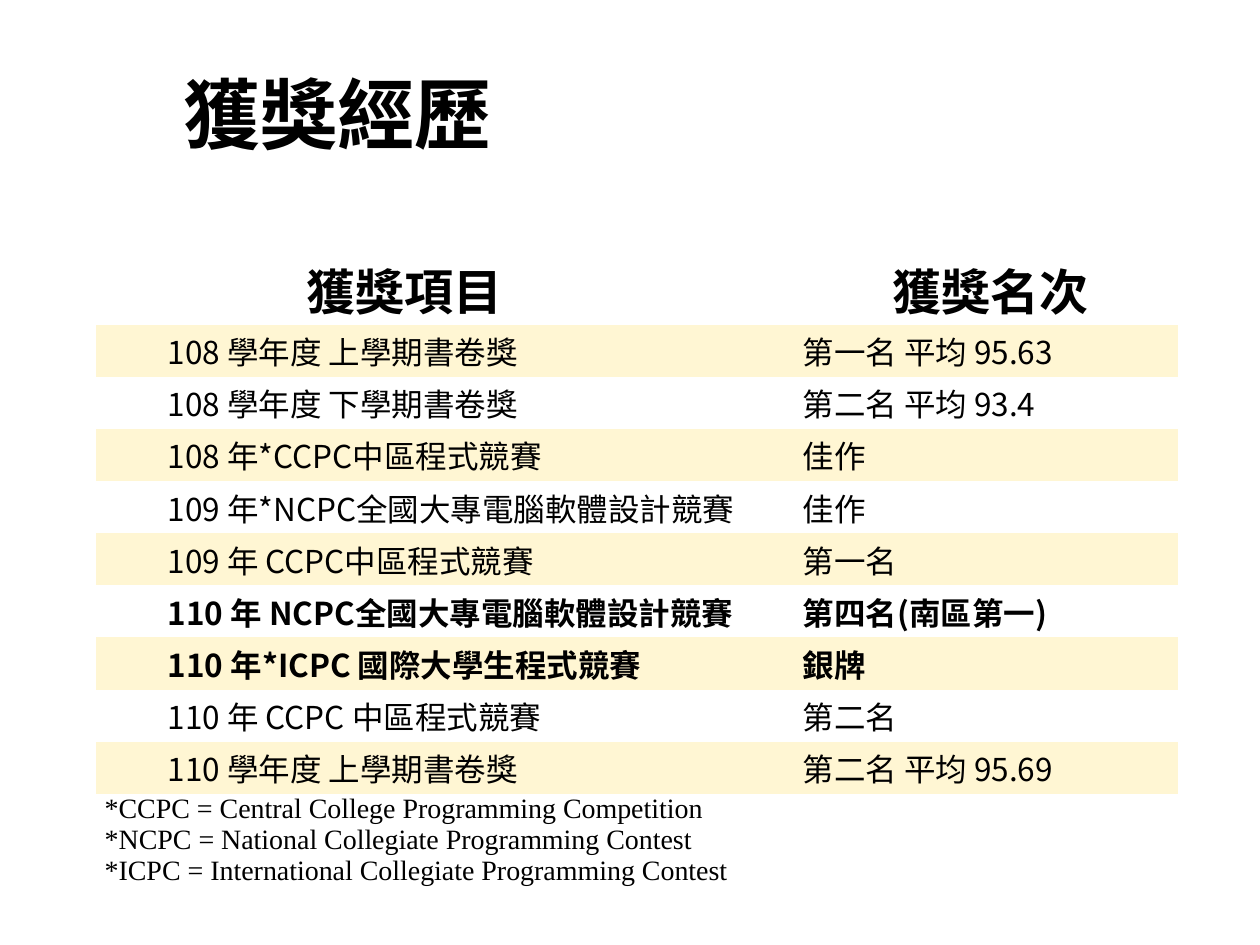
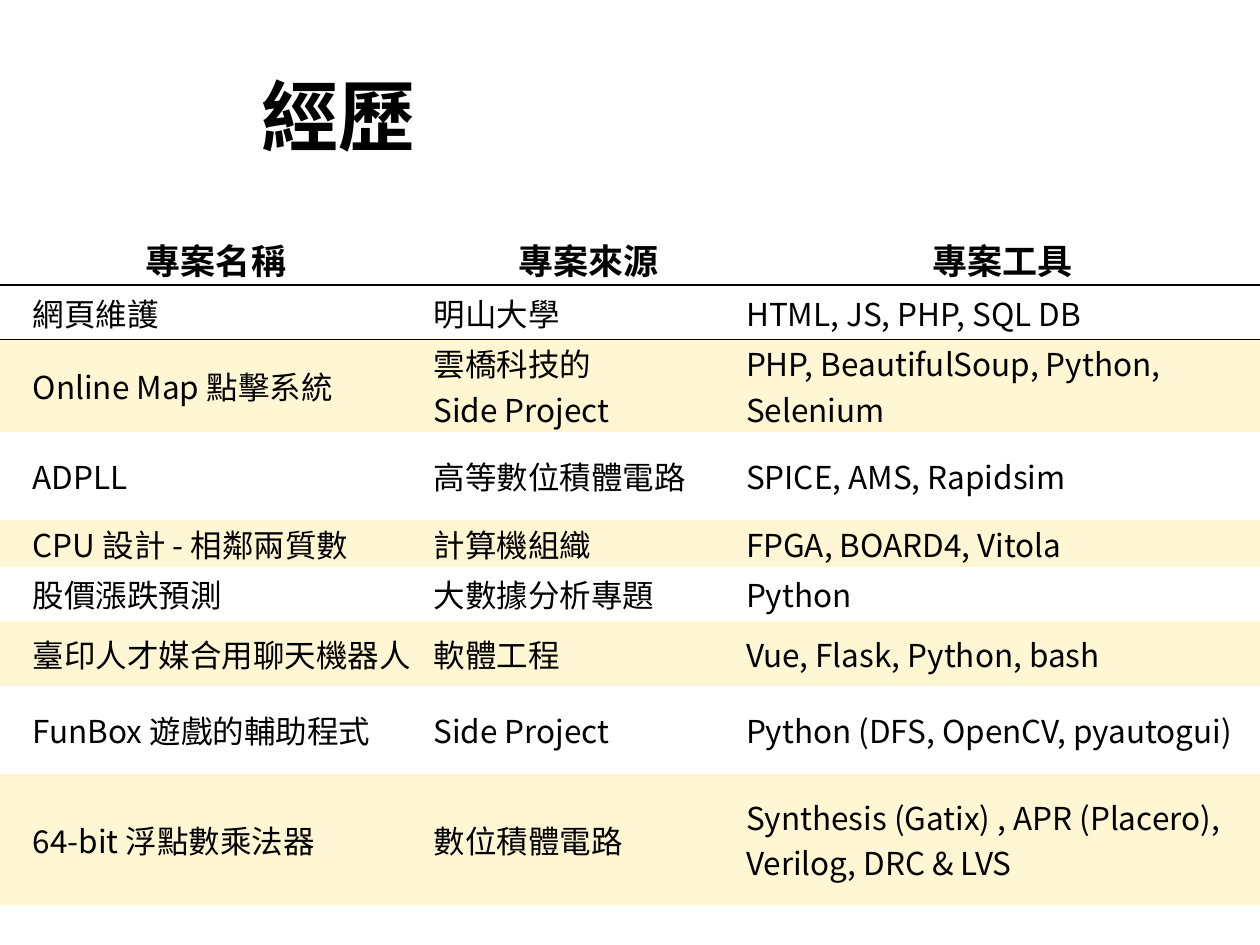
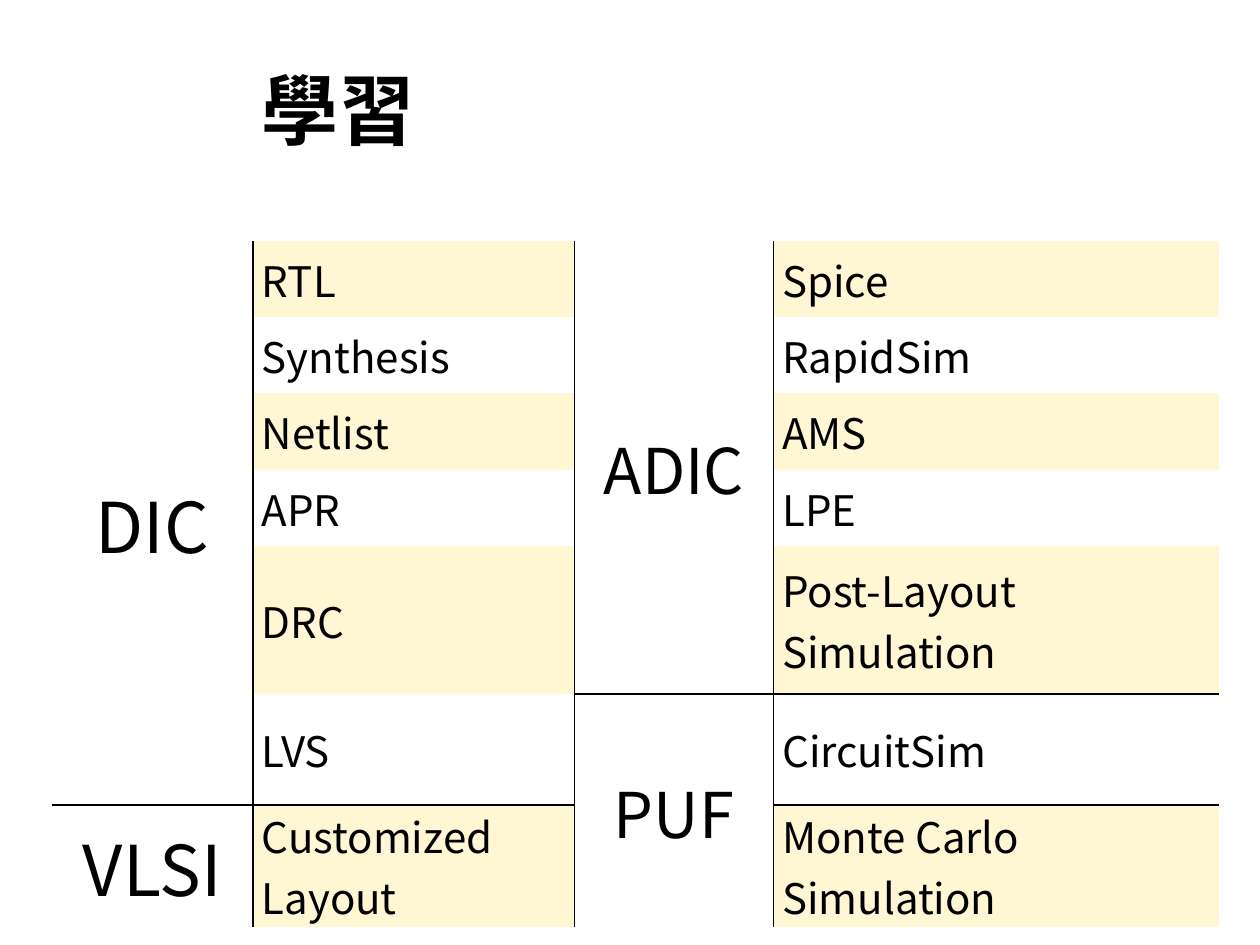
from lxml.etree import SubElement, fromstring
from pptx import Presentation
from pptx.dml.color import RGBColor as Rgb
from pptx.enum.text import MSO_ANCHOR as Anchor, PP_ALIGN as Align
from pptx.oxml.ns import qn
from pptx.util import Cm, Pt

# Shared look
INK = {"text": "000000", "band": "FFF6D3"}
SANS, SERIF = "Noto Sans CJK SC", "Times New Roman"
PLAIN = "{2D5ABB26-0587-4C30-8999-92F81FD0307C}"  # no style, no grid
NS = "http://schemas.openxmlformats.org/drawingml/2006/main"

# Content: awards
AWARD_HEAD = ["獲獎項目", "獲獎名次"]
AWARDS = [
    ("108 學年度 上學期書卷獎", "第一名 平均 95.63"),
    ("108 學年度 下學期書卷獎", "第二名 平均 93.4"),
    ("108 年*CCPC中區程式競賽", "佳作"),
    ("109 年*NCPC全國大專電腦軟體設計競賽", "佳作"),
    ("109 年 CCPC中區程式競賽", "第一名"),
    ("110 年 NCPC全國大專電腦軟體設計競賽", "第四名(南區第一)"),
    ("110 年*ICPC 國際大學生程式競賽", "銀牌"),
    ("110 年 CCPC 中區程式競賽", "第二名"),
    ("110 學年度 上學期書卷獎", "第二名 平均 95.69"),
]
TOP_ROWS = (6, 7)  # rows in bold
NOTES = """*CCPC = Central College Programming Competition
*NCPC = National Collegiate Programming Contest
*ICPC = International Collegiate Programming Contest"""

# Content: projects
JOB_HEAD = ["專案名稱", "專案來源", "專案工具"]
JOBS = [
    ("網頁維護", "明山大學", "HTML, JS, PHP, SQL DB"),
    ("Online Map 點擊系統", "雲橋科技的\nSide Project",
     "PHP, BeautifulSoup, Python, Selenium"),
    ("ADPLL", "高等數位積體電路", "SPICE, AMS, Rapidsim"),
    ("CPU 設計 - 相鄰兩質數", "計算機組織", "FPGA, BOARD4, Vitola"),
    ("股價漲跌預測", "大數據分析專題", "Python"),
    ("臺印人才媒合用聊天機器人", "軟體工程", "Vue, Flask, Python, bash"),
    ("FunBox 遊戲的輔助程式", "Side Project",
     "Python (DFS, OpenCV, pyautogui)"),
    ("64-bit 浮點數乘法器", "數位積體電路",
     "Synthesis (Gatix) , APR (Placero),\nVerilog, DRC & LVS"),
]
JOB_ROWS = [1.05, 1.09, 1.86, 1.78, 0.95, 1.09, 1.3, 1.78, 2.64]

# Content: skills, as (first row, last row, column, name, size)
FIELDS = [(0, 5, 0, "DIC", 40), (6, 6, 0, "VLSI", 40),
          (0, 4, 2, "ADIC", 36), (5, 6, 2, "PUF", 36)]
SKILLS = {
    1: ["RTL", "Synthesis", "Netlist", "APR", "DRC", "LVS",
        "Customized Layout"],
    3: ["Spice", "RapidSim", "AMS", "LPE", "Post-Layout Simulation",
        "CircuitSim", "Monte Carlo Simulation"],
}
SKILL_ROWS = [1.54] * 4 + [2.98, 2.24, 2.46]


def write(frame, text, size=18, font=SANS, bold=False, align=Align.LEFT,
          gap=None):
    """Put text in a frame, one paragraph a line."""
    for i, line in enumerate(text.split("\n")):
        para = frame.add_paragraph() if i else frame.paragraphs[0]
        para.alignment = align
        para.line_spacing = gap
        run = para.add_run()
        run.text = line
        run.font.size, run.font.bold, run.font.name = Pt(size), bold, font
        run.font.color.rgb = Rgb.from_string(INK["text"])
        SubElement(run.font._element, qn("a:ea"), typeface=font)


def fill(cell, text, left=0.18, right=0.18, anchor=Anchor.MIDDLE, **look):
    cell.margin_left, cell.margin_right = Cm(left), Cm(right)
    cell.vertical_anchor = anchor
    write(cell.text_frame, text, **look)


def edge(cell, sides):
    """Draw thin lines on sides, given in the order L, R, T, B."""
    props = cell._tc.get_or_add_tcPr()
    for i, side in enumerate(sides):
        props.insert(i, fromstring(
            f'<a:ln{side} xmlns:a="{NS}" w="12700"><a:solidFill>'
            f'<a:srgbClr val="{INK["text"]}"/></a:solidFill></a:ln{side}>'))


def page(deck, title, left, top, width):
    """Add a blank slide with its title."""
    slide = deck.slides.add_slide(deck.slide_layouts[6])
    frame = slide.shapes.add_textbox(
        Cm(left), Cm(top), Cm(width), Cm(3)).text_frame
    frame.word_wrap = True
    frame.vertical_anchor = Anchor.MIDDLE
    write(frame, title, size=44, bold=True, align=Align.CENTER, gap=0.9)
    return slide


def grid(slide, left, top, cols, rows, bands, first=0):
    """Add a plain table, with tint in the band rows from column first on."""
    table = slide.shapes.add_table(
        len(rows), len(cols), Cm(left), Cm(top),
        Cm(sum(cols)), Cm(sum(rows))).table
    table.first_row = table.horz_banding = False
    table._tbl.tblPr.find(qn("a:tableStyleId")).text = PLAIN
    for col, width in zip(table.columns, cols):
        col.width = Cm(width)
    for r, height in enumerate(rows):
        table.rows[r].height = Cm(height)
        for c in range(len(cols)):
            cell = table.cell(r, c)
            cell.margin_top = cell.margin_bottom = 0
            if r in bands and c >= first:
                cell.fill.solid()
                cell.fill.fore_color.rgb = Rgb.from_string(INK["band"])
            else:
                cell.fill.background()
    return table


def awards(deck):
    slide = page(deck, "獲獎經歷", 1.07, 0.89, 11.48)
    last = len(AWARDS) + 1
    table = grid(slide, 1.93, 5.11, [1.27, 12.8, 7.75],
                 [1.44] + [1.05] * len(AWARDS) + [2.08], range(1, last, 2))
    for c, (text, left) in enumerate(zip(AWARD_HEAD, (2.98, 2)), 1):
        fill(table.cell(0, c), text, left=left, right=0.03, size=28, bold=True)
    for r, row in enumerate(AWARDS, 1):
        for c, text in enumerate(row, 1):
            fill(table.cell(r, c), text, bold=r in TOP_ROWS)
    table.cell(last, 0).merge(table.cell(last, 1))
    fill(table.cell(last, 0), NOTES, anchor=Anchor.TOP, size=16, font=SERIF)


def projects(deck):
    slide = page(deck, "經歷", 1.14, 0.94, 11.38)
    table = grid(slide, 0, 4.7, [8.71, 6.3, 10.39], JOB_ROWS,
                 range(2, len(JOB_ROWS), 2))
    for c, text in enumerate(JOB_HEAD):
        fill(table.cell(0, c), text, left=0.03, right=0.03, size=20,
             bold=True, align=Align.CENTER)
        edge(table.cell(0, c), "B")
        edge(table.cell(1, c), "T")
    for r, row in enumerate(JOBS, 1):
        for c, text in enumerate(row):
            fill(table.cell(r, c), text, left=0.03 if c else 0.66, right=0.03)


def skills(deck):
    slide = page(deck, "學習", 1.04, 0.81, 11.58)
    count = len(SKILL_ROWS)
    table = grid(slide, 1.04, 4.85, [4.06, 6.48, 4.01, 8.99], SKILL_ROWS, ())
    for c, names in SKILLS.items():
        for r, text in enumerate(names):
            cell = table.cell(r, c)
            fill(cell, text, size=24)
            if r % 2 == 0:
                cell.fill.solid()
                cell.fill.fore_color.rgb = Rgb.from_string(INK["band"])
    for top, end, c, text, size in FIELDS:
        for r in range(top, end + 1):
            rule = ("T" if r == top and top else "") + (
                "B" if r == end and end < count - 1 else "")
            edge(table.cell(r, c), "R" + rule)
            edge(table.cell(r, c + 1), "L" + rule)
        if end > top:
            table.cell(top, c).merge(table.cell(end, c))
        fill(table.cell(top, c), text, size=size, align=Align.CENTER)


def main():
    deck = Presentation()
    deck.slide_width, deck.slide_height = Cm(25.4), Cm(19.05)
    for build in (awards, projects, skills):
        build(deck)
    deck.save("out.pptx")


if __name__ == "__main__":
    main()
